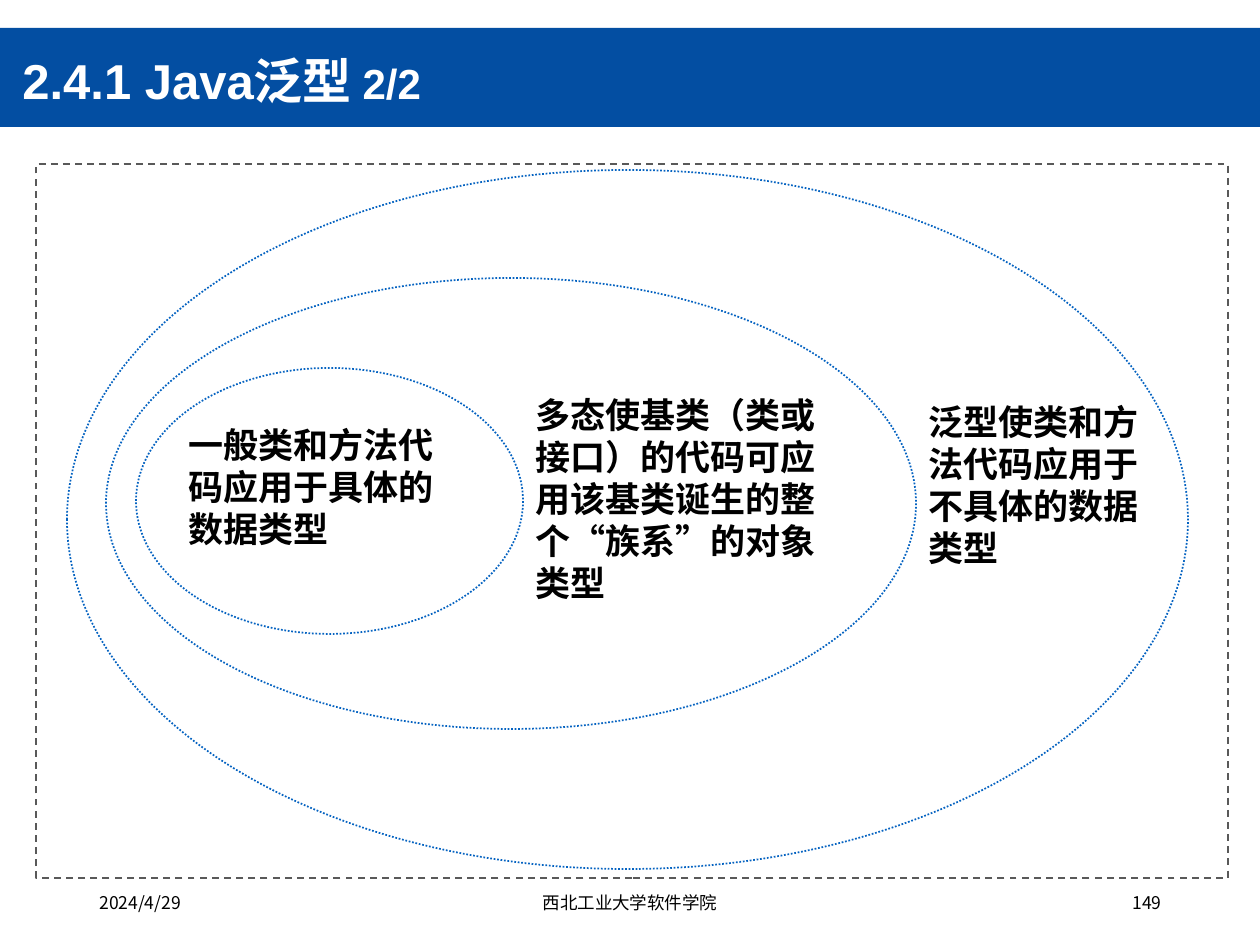
"""Builds the slide on Java generics with three nested scope ellipses."""
from dataclasses import dataclass
from typing import NamedTuple

from lxml.etree import SubElement
from pptx import Presentation
from pptx.dml.color import RGBColor
from pptx.enum.dml import MSO_LINE_DASH_STYLE as Dash
from pptx.enum.shapes import MSO_SHAPE as Preset
from pptx.enum.text import MSO_ANCHOR as Anchor, PP_ALIGN as Align
from pptx.oxml.ns import qn
from pptx.shapes.autoshape import Shape
from pptx.shapes.shapetree import GroupShapes, SlideShapes
from pptx.util import Emu, Pt

PX_PER_INCH = 126
BANNER_BLUE = RGBColor(0x03, 0x4E, 0xA2)
RING_BLUE = RGBColor(0x05, 0x63, 0xC1)
FRAME_GREY = RGBColor(0x59, 0x59, 0x59)
BLACK = RGBColor(0x00, 0x00, 0x00)
WHITE = RGBColor(0xFF, 0xFF, 0xFF)
CJK_FONT = "Noto Sans CJK SC"

ShapeTree = SlideShapes | GroupShapes


class Box(NamedTuple):
    left: int
    top: int
    width: int
    height: int


class Span(NamedTuple):
    text: str
    size: int


@dataclass(frozen=True)
class Style:
    font: str
    color: RGBColor = BLACK
    bold: bool = False


@dataclass(frozen=True)
class Scope:
    ring: Box
    caption: Box
    text: str


@dataclass(frozen=True)
class FooterItem:
    box: Box
    text: str
    align: Align


TITLE_STYLE = Style("Arial", WHITE, True)
CAPTION_STYLE = Style("Times New Roman", BLACK, True)
FOOTER_STYLE = Style(CJK_FONT)

SCOPES = [
    Scope(Box(136, 368, 387, 266), Box(176, 417, 290, 155),
          "一般类和方法代码应用于具体的数据类型"),
    Scope(Box(106, 278, 810, 451), Box(523, 387, 333, 252),
          "多态使基类（类或接口）的代码可应用该基类诞生的整个“族系”的对象类型"),
    Scope(Box(67, 170, 1121, 699), Box(916, 394, 241, 210),
          "泛型使类和方法代码应用于不具体的数据类型"),
]
FOOTER = [
    FooterItem(Box(87, 886, 284, 50), "2024/4/29", Align.LEFT),
    FooterItem(Box(417, 886, 426, 50), "西北工业大学软件学院", Align.CENTER),
    FooterItem(Box(890, 886, 284, 50), "149", Align.RIGHT),
]


def px(length: int) -> Emu:
    """Turn pixels into EMU."""
    return Emu(round(length * 914400 / PX_PER_INCH))


def add_outline(shapes: ShapeTree, preset: Preset, box: Box, color: RGBColor, dash: Dash) -> None:
    """Draw an unfilled shape with a broken one-point line."""
    outline = shapes.add_shape(preset, *map(px, box))
    outline.shadow.inherit = False
    outline.fill.background()
    outline.line.color.rgb = color
    outline.line.width = Pt(1)
    outline.line.dash_style = dash


def add_banner(shapes: ShapeTree, box: Box) -> None:
    """Draw the solid title band."""
    banner = shapes.add_shape(Preset.RECTANGLE, *map(px, box))
    banner.shadow.inherit = False
    banner.fill.solid()
    banner.fill.fore_color.rgb = BANNER_BLUE
    banner.line.fill.background()


def add_text(shapes: ShapeTree, box: Box, spans: list[Span], style: Style,
             align: Align = Align.LEFT) -> Shape:
    """Write one wrapped paragraph run by run."""
    textbox = shapes.add_textbox(*map(px, box))
    textbox.text_frame.word_wrap = True
    paragraph = textbox.text_frame.paragraphs[0]
    paragraph.alignment = align
    for span in spans:
        run = paragraph.add_run()
        run.text = span.text
        run.font.size = Pt(span.size)
        run.font.name = style.font
        run.font.bold = style.bold
        run.font.color.rgb = style.color
        SubElement(run.font._element, qn("a:ea"), typeface=CJK_FONT)
    return textbox


def add_scope(shapes: SlideShapes, scope: Scope) -> None:
    """Group a dotted ring with its caption."""
    members = shapes.add_group_shape().shapes
    add_outline(members, Preset.OVAL, scope.ring, RING_BLUE, Dash.ROUND_DOT)
    add_text(members, scope.caption, [Span(scope.text, 20)], CAPTION_STYLE)


def main() -> None:
    """Assemble and save the slide."""
    deck = Presentation()
    deck.slide_width, deck.slide_height = px(1260), px(945)
    shapes = deck.slides.add_slide(deck.slide_layouts[6]).shapes

    add_banner(shapes, Box(0, 28, 1260, 99))
    add_outline(shapes, Preset.RECTANGLE, Box(36, 164, 1192, 714), FRAME_GREY, Dash.DASH)

    title = add_text(shapes, Box(10, 42, 926, 83),
                     [Span("2.4.1 Java泛型 ", 28), Span("2/2", 24)], TITLE_STYLE)
    title.text_frame.vertical_anchor = Anchor.MIDDLE
    title.text_frame.paragraphs[0].line_spacing = 0.9

    for item in FOOTER:
        add_text(shapes, item.box, [Span(item.text, 10)], FOOTER_STYLE, item.align)
    for scope in SCOPES:
        add_scope(shapes, scope)

    deck.save("out.pptx")


if __name__ == "__main__":
    main()
